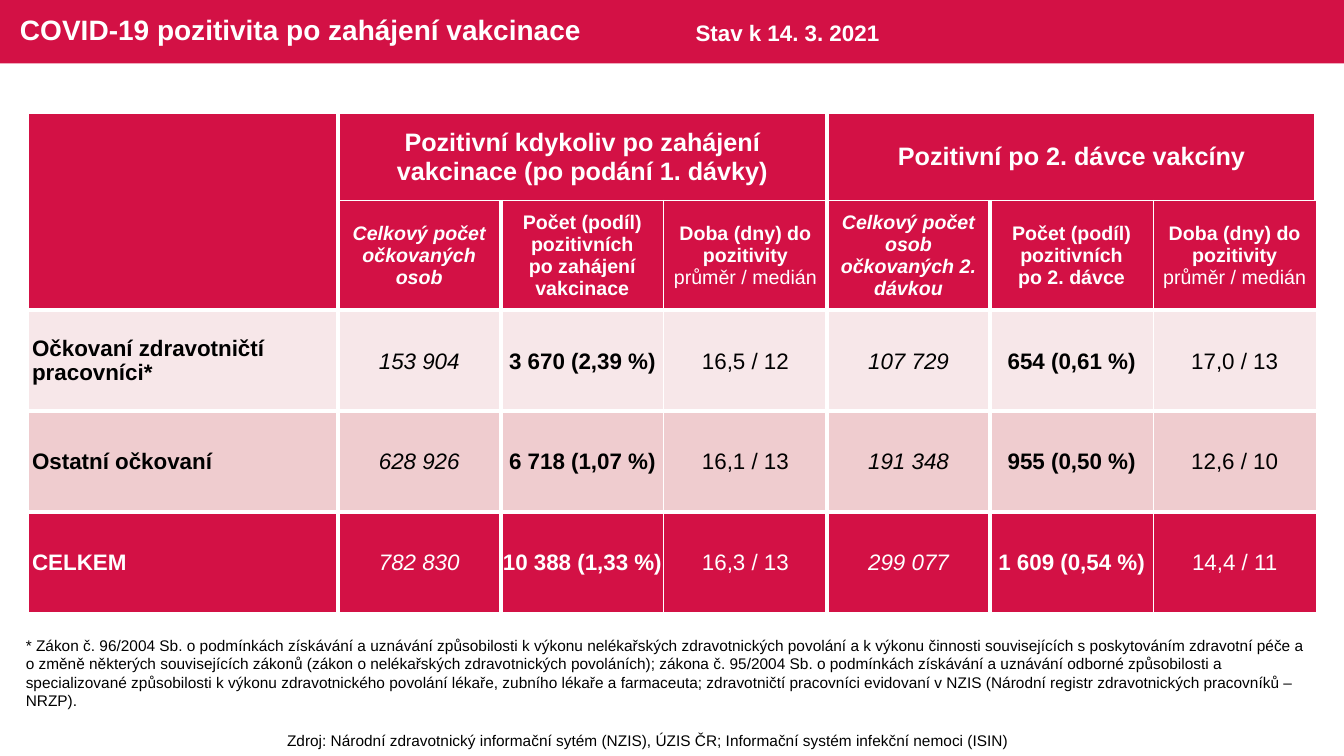
from dataclasses import dataclass

from lxml.etree import SubElement
from pptx import Presentation
from pptx.dml.color import RGBColor
from pptx.enum.shapes import MSO_SHAPE
from pptx.enum.text import MSO_ANCHOR, PP_ALIGN
from pptx.oxml.ns import qn
from pptx.util import Cm, Pt

TITLE = "COVID-19 pozitivita po zahájení vakcinace"
STATUS_DATE = "Stav k 14. 3. 2021"
GROUPS = [
    "Pozitivní kdykoliv po zahájení vakcinace (po podání 1. dávky)",
    "Pozitivní po 2. dávce vakcíny",
]
DAYS = ["Doba (dny) do pozitivity", "průměr / medián"]
COLUMNS = [
    ["Celkový počet očkovaných osob"],
    ["Počet (podíl) pozitivních", "po zahájení vakcinace"],
    DAYS,
    ["Celkový počet osob očkovaných 2. dávkou"],
    ["Počet (podíl) pozitivních", "po 2. dávce"],
    DAYS,
]
ROWS = [
    ("Očkovaní zdravotničtí pracovníci*",
     ["153 904", "3 670 (2,39 %)", "16,5 / 12", "107 729", "654 (0,61 %)", "17,0 / 13"]),
    ("Ostatní očkovaní",
     ["628 926", "6 718 (1,07 %)", "16,1 / 13", "191 348", "955 (0,50 %)", "12,6 / 10"]),
    ("CELKEM",
     ["782 830", "10 388 (1,33 %)", "16,3 / 13", "299 077", "1 609 (0,54 %)", "14,4 / 11"]),
]
FOOTNOTE = (
    "* Zákon č. 96/2004 Sb. o podmínkách získávání a uznávání způsobilosti k výkonu "
    "nelékařských zdravotnických povolání a k výkonu činnosti souvisejících s poskytováním "
    "zdravotní péče a o změně některých souvisejících zákonů (zákon o nelékařských "
    "zdravotnických povoláních); zákona č. 95/2004 Sb. o podmínkách získávání a uznávání "
    "odborné způsobilosti a specializované způsobilosti k výkonu zdravotnického povolání "
    "lékaře, zubního lékaře a farmaceuta; zdravotničtí pracovníci evidovaní v NZIS "
    "(Národní registr zdravotnických pracovníků – NRZP)."
)
SOURCE = ("Zdroj: Národní zdravotnický informační sytém (NZIS), ÚZIS ČR; "
          "Informační systém infekční nemoci (ISIN)")


@dataclass(frozen=True)
class Theme:
    font: str = "Arial"
    red: str = "D31145"
    pale: str = "F7E7E9"
    pink: str = "EFCCCF"
    white: str = "FFFFFF"
    black: str = "000000"
    title: int = 20
    group: int = 18
    body: int = 16
    column: int = 14
    note: int = 11
    thin: int = 1
    thick: int = 3


THEME = Theme()
PAGE_WIDTH, PAGE_HEIGHT = Cm(33.87), Cm(19.05)
BAND_HEIGHT = Cm(1.6)
TABLE_LEFT, TABLE_TOP = Cm(0.71), Cm(2.87)
COLUMN_WIDTHS = [Cm(7.8)] + [Cm(4.11)] * len(COLUMNS)
ROW_HEIGHTS = [Cm(2.18), Cm(2.77)] + [Cm(2.54)] * len(ROWS)
ROW_FILLS = [THEME.red, THEME.red, THEME.pale, THEME.pink, THEME.red]
# Line weights left to right and top to bottom, outer edges included
VERTICAL_LINES = [THEME.thin, THEME.thick, THEME.thick, THEME.thin,
                  THEME.thick, THEME.thick, THEME.thin, THEME.thin]
HORIZONTAL_LINES = [THEME.thin, THEME.thin, THEME.thick, THEME.thick, THEME.thick, THEME.thin]


def write(frame, *lines, size, color=THEME.black, bold=False, italic=False,
          align=PP_ALIGN.LEFT, spacing=None, light_line=None):
    """Fill a text frame, one paragraph a line; light_line is the line kept regular."""
    frame.word_wrap = True
    for index, line in enumerate(lines):
        para = frame.paragraphs[0] if index == 0 else frame.add_paragraph()
        para.alignment = align
        para.line_spacing = spacing
        span = para.add_run()
        span.text = line
        span.font.name = THEME.font
        span.font.size = Pt(size)
        span.font.bold = bold and index != light_line
        span.font.italic = italic
        span.font.color.rgb = RGBColor.from_string(color)


def add_text(page, text, left, top, width, height, **style):
    box = page.shapes.add_textbox(left, top, width, height)
    write(box.text_frame, text, **style)


def set_borders(cell, weights):
    """Draw white lines of the given points on left, right, top, bottom; 0 is none."""
    properties = cell._tc.get_or_add_tcPr()
    for position, (side, weight) in enumerate(zip("LRTB", weights)):
        line = SubElement(properties, qn(f"a:ln{side}"), w=str(Pt(weight)))
        properties.insert(position, line)
        if weight:
            fill = SubElement(line, qn("a:solidFill"))
            SubElement(fill, qn("a:srgbClr"), val=THEME.white)
        else:
            SubElement(line, qn("a:noFill"))


def format_grid(table):
    for column, width in zip(table.columns, COLUMN_WIDTHS):
        column.width = width
    for r, (row, height) in enumerate(zip(table.rows, ROW_HEIGHTS)):
        row.height = height
        for c, cell in enumerate(row.cells):
            wide = r < 2 or c == 0
            cell.margin_left = cell.margin_right = Cm(0.1 if wide else 0.03)
            cell.margin_top = Cm(0 if wide else 0.03)
            cell.margin_bottom = 0
            cell.vertical_anchor = MSO_ANCHOR.MIDDLE
            cell.fill.solid()
            cell.fill.fore_color.rgb = RGBColor.from_string(ROW_FILLS[r])
            top, bottom = HORIZONTAL_LINES[r:r + 2]
            if c == 0 and r == 0:
                bottom = 0
            elif c == 0 and r == 1:
                top = 0
            right = VERTICAL_LINES[4] if r == 0 and c == 1 else VERTICAL_LINES[c + 1]
            set_borders(cell, (VERTICAL_LINES[c], right, top, bottom))


def add_results(page):
    table = page.shapes.add_table(
        len(ROW_HEIGHTS), len(COLUMN_WIDTHS), TABLE_LEFT, TABLE_TOP,
        sum(COLUMN_WIDTHS), sum(ROW_HEIGHTS)).table
    table.first_row = table.horz_banding = False
    format_grid(table)

    span = len(COLUMNS) // len(GROUPS)
    for index, group in enumerate(GROUPS):
        first = 1 + index * span
        table.cell(0, first).merge(table.cell(0, first + span - 1))
        write(table.cell(0, first).text_frame, group, size=THEME.group,
              color=THEME.white, bold=True, align=PP_ALIGN.CENTER)
    for c, lines in enumerate(COLUMNS):
        write(table.cell(1, c + 1).text_frame, *lines, size=THEME.column,
              color=THEME.white, bold=True, italic=c % span == 0,
              align=PP_ALIGN.CENTER, light_line=1 if lines is DAYS else None)
    for r, (label, values) in enumerate(ROWS, start=2):
        color = THEME.white if ROW_FILLS[r] == THEME.red else THEME.black
        write(table.cell(r, 0).text_frame, label, size=THEME.body, color=color, bold=True)
        for c, value in enumerate(values):
            write(table.cell(r, c + 1).text_frame, value, size=THEME.body, color=color,
                  bold=c % span == 1, italic=c % span == 0, align=PP_ALIGN.CENTER)


def add_heading(page):
    title = page.shapes.title
    title.left, title.top, title.width, title.height = Cm(0.25), 0, Cm(20.65), BAND_HEIGHT
    title.text_frame.vertical_anchor = MSO_ANCHOR.MIDDLE
    write(title.text_frame, TITLE, size=THEME.title, color=THEME.white, bold=True, spacing=0.9)

    band = page.shapes.add_shape(MSO_SHAPE.RECTANGLE, 0, 0, PAGE_WIDTH, BAND_HEIGHT)
    band.shadow.inherit = False
    band.fill.solid()
    band.fill.fore_color.rgb = RGBColor.from_string(THEME.red)
    band.line.fill.background()
    title.element.addprevious(band.element)


def main():
    deck = Presentation()
    deck.slide_width, deck.slide_height = PAGE_WIDTH, PAGE_HEIGHT
    page = deck.slides.add_slide(deck.slide_layouts[5])
    add_heading(page)
    add_results(page)
    add_text(page, FOOTNOTE, Cm(0.4), Cm(15.9), Cm(33.07), Cm(1.68), size=THEME.note)
    add_text(page, STATUS_DATE, Cm(16.82), Cm(0.36), Cm(6.05), Cm(0.94), size=THEME.body,
             color=THEME.white, bold=True, align=PP_ALIGN.CENTER)
    add_text(page, SOURCE, Cm(4.83), Cm(18.29), Cm(23.01), Cm(0.74), size=THEME.note,
             align=PP_ALIGN.CENTER)
    deck.save("out.pptx")


if __name__ == "__main__":
    main()
